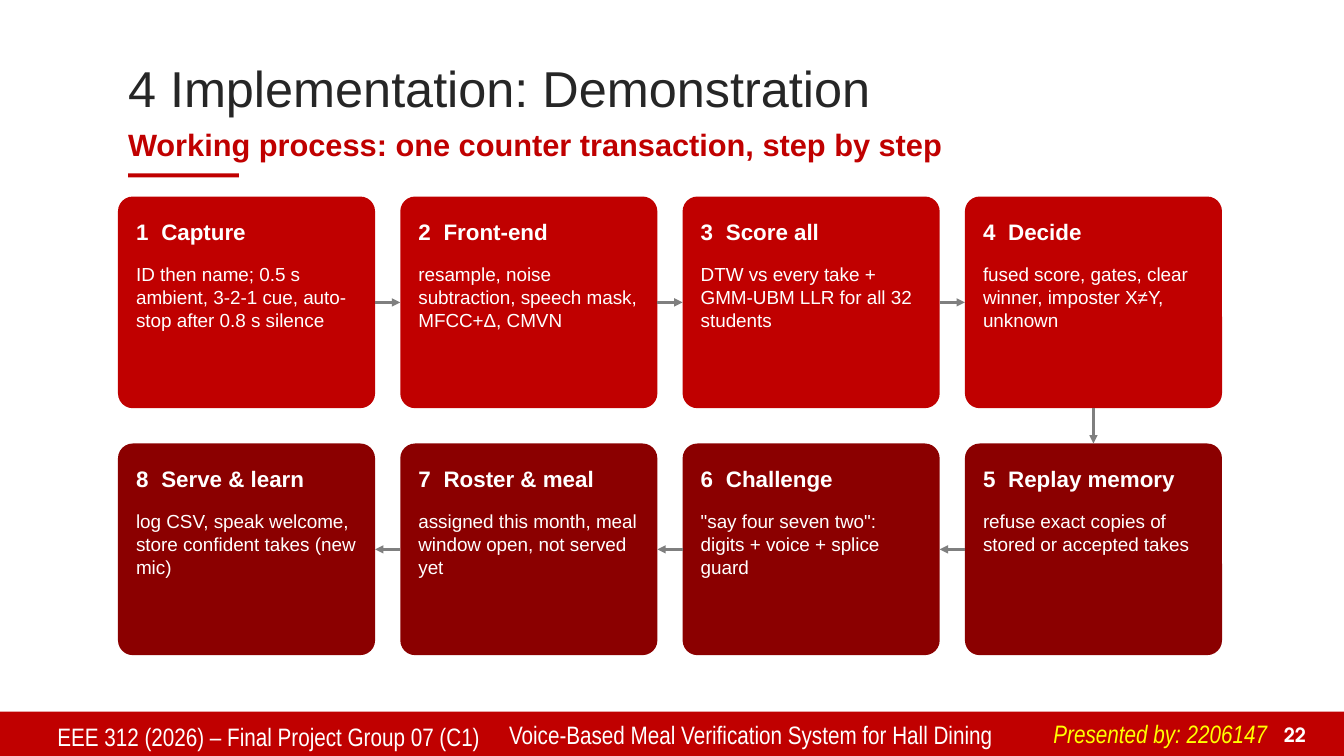
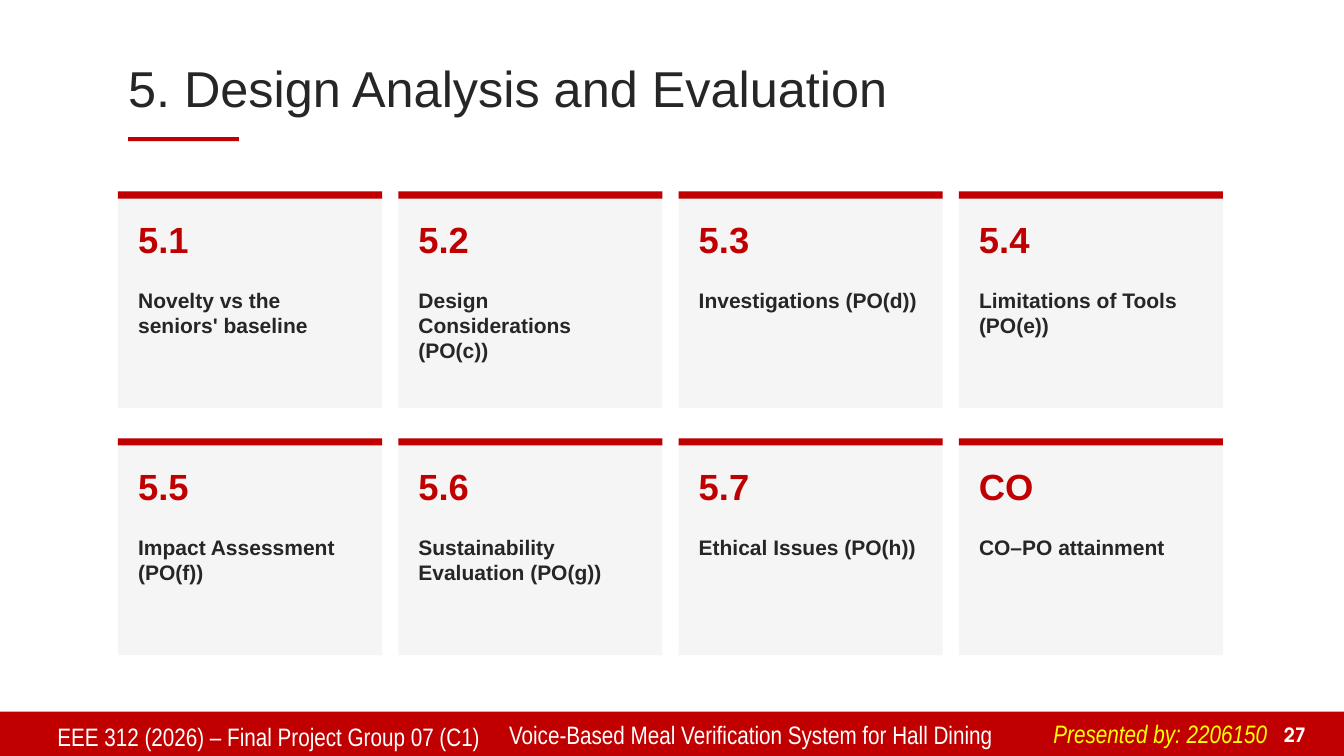
from dataclasses import dataclass
from itertools import pairwise

from lxml.etree import SubElement
from pptx import Presentation
from pptx.dml.color import RGBColor
from pptx.enum.shapes import MSO_CONNECTOR, MSO_SHAPE
from pptx.enum.text import MSO_ANCHOR, PP_ALIGN
from pptx.oxml.ns import qn
from pptx.util import Inches, Pt

RED = RGBColor(0xC0, 0x00, 0x00)
DARK_RED = RGBColor(0x8B, 0x00, 0x00)
INK = RGBColor(0x26, 0x26, 0x26)
PALE = RGBColor(0xF5, 0xF5, 0xF5)
GRAY = RGBColor(0x7F, 0x7F, 0x7F)
WHITE = RGBColor(0xFF, 0xFF, 0xFF)
YELLOW = RGBColor(0xFF, 0xFF, 0x00)

SANS = "Arial"
NARROW = "Arial Narrow"
NUMBER_FONT = "TeX Gyre Adventor"

SLIDE_WIDTH, SLIDE_HEIGHT = 13.33, 7.5
BAND_TOP = 7.06
MARGIN = 1.17
TEXT_LEFT = 1.27
COLUMNS = 4
LABEL_TAB = 0.25
TOP, LEFT, BOTTOM, RIGHT = range(4)

STEPS = [
    ("Capture", "ID then name; 0.5 s ambient, 3-2-1 cue, auto-stop after 0.8 s silence"),
    ("Front-end", "resample, noise subtraction, speech mask, MFCC+Δ, CMVN"),
    ("Score all", "DTW vs every take + GMM-UBM LLR for all 32 students"),
    ("Decide", "fused score, gates, clear winner, imposter X≠Y, unknown"),
    ("Replay memory", "refuse exact copies of stored or accepted takes"),
    ("Challenge", "\"say four seven two\": digits + voice + splice guard"),
    ("Roster & meal", "assigned this month, meal window open, not served yet"),
    ("Serve & learn", "log CSV, speak welcome, store confident takes (new mic)"),
]

SECTIONS = [
    ("5.1", "Novelty vs the seniors' baseline"),
    ("5.2", "Design Considerations (PO(c))"),
    ("5.3", "Investigations (PO(d))"),
    ("5.4", "Limitations of Tools (PO(e))"),
    ("5.5", "Impact Assessment (PO(f))"),
    ("5.6", "Sustainability Evaluation (PO(g))"),
    ("5.7", "Ethical Issues (PO(h))"),
    ("CO", "CO–PO attainment"),
]


@dataclass(frozen=True)
class Grid:
    top: float
    width: float
    height: float
    column_gap: float
    row_gap: float

    def corner(self, row, column):
        return (MARGIN + column * (self.width + self.column_gap),
                self.top + row * (self.height + self.row_gap))


STEP_GRID = Grid(top=1.95, width=2.55, height=2.1, column_gap=0.25, row_gap=0.35)
SECTION_GRID = Grid(top=1.9, width=2.62, height=2.15, column_gap=0.16, row_gap=0.3)


def style(paragraph, size, color, family=SANS, bold=False, italic=False):
    font = paragraph.font
    font.name, font.size = family, Pt(size)
    font.bold, font.italic = bold, italic
    font.color.rgb = color


def add_text(slide, text, left, top, width, height, size, color,
             inset=True, anchor=MSO_ANCHOR.TOP, align=PP_ALIGN.LEFT,
             tab=None, **font):
    frame = slide.shapes.add_textbox(
        Inches(left), Inches(top), Inches(width), Inches(height)).text_frame
    frame.word_wrap = True
    frame.vertical_anchor = anchor
    if not inset:
        frame.margin_left = frame.margin_right = 0
        frame.margin_top = frame.margin_bottom = 0
    paragraph = frame.paragraphs[0]
    paragraph.text = text
    paragraph.alignment = align
    if tab:
        stops = SubElement(paragraph._p.get_or_add_pPr(), qn("a:tabLst"))
        SubElement(stops, qn("a:tab"), pos=str(Inches(tab)), algn="l")
    style(paragraph, size, color, **font)


def add_block(slide, left, top, width, height, color, outline=MSO_SHAPE.RECTANGLE):
    block = slide.shapes.add_shape(
        outline, Inches(left), Inches(top), Inches(width), Inches(height))
    block.shadow.inherit = False
    block.fill.solid()
    block.fill.fore_color.rgb = color
    block.line.fill.background()
    return block


def add_arrow(slide, source, source_site, target, target_site):
    arrow = slide.shapes.add_connector(MSO_CONNECTOR.STRAIGHT, 0, 0, 0, 0)
    arrow.begin_connect(source, source_site)
    arrow.end_connect(target, target_site)
    arrow.line.color.rgb = GRAY
    arrow.line.width = Pt(1.75)
    SubElement(arrow.line._get_or_add_ln(), qn("a:tailEnd"), type="triangle")
    SubElement(arrow._element.spPr, qn("a:effectLst"))


def add_footer(slide, number, presenter):
    add_block(slide, 0, BAND_TOP, SLIDE_WIDTH, SLIDE_HEIGHT - BAND_TOP, RED)
    add_text(slide, "EEE 312 (2026) – Final Project Group 07 (C1)",
             0.47, 7.11, 4.45, 0.39, 18, WHITE, family=NARROW)
    add_text(slide, "Voice-Based Meal Verification System for Hall Dining",
             4.95, 7.09, 5.35, 0.41, 18, WHITE, family=NARROW)
    add_text(slide, str(number), 12.48, 7.11, 0.57, 0.34, 14, WHITE,
             anchor=MSO_ANCHOR.BOTTOM, align=PP_ALIGN.RIGHT,
             family=NUMBER_FONT, bold=True)
    add_text(slide, f"Presented by: {presenter}", 10.35, 7.08, 2.42, 0.4, 18, YELLOW,
             family=NARROW, italic=True)


def start_slide(deck, heading, rule_top, number, presenter):
    slide = deck.slides.add_slide(deck.slide_layouts.get_by_name("Title Only"))
    title = slide.shapes.title
    title.left, title.top = Inches(MARGIN), Inches(0.5)
    title.width, title.height = Inches(11), Inches(0.8)
    title.text_frame.text = heading
    title.text_frame.vertical_anchor = MSO_ANCHOR.MIDDLE
    paragraph = title.text_frame.paragraphs[0]
    paragraph.alignment = PP_ALIGN.LEFT
    paragraph.line_spacing = 0.9
    style(paragraph, 36, INK)
    add_footer(slide, number, presenter)
    add_block(slide, TEXT_LEFT, rule_top, 1.1, 0.04, RED)
    return slide


def add_step(slide, index, label, detail):
    row, column = divmod(index, COLUMNS)
    if row:
        column = COLUMNS - 1 - column
    left, top = STEP_GRID.corner(row, column)
    card = add_block(slide, left, top, STEP_GRID.width, STEP_GRID.height,
                     DARK_RED if row else RED, MSO_SHAPE.ROUNDED_RECTANGLE)
    card.adjustments[0] = 0.07
    add_text(slide, f"{index + 1}\t{label}", left + 0.18, top + 0.14, 2.2, 0.42, 16, WHITE,
             inset=False, anchor=MSO_ANCHOR.MIDDLE, tab=LABEL_TAB, bold=True)
    add_text(slide, detail, left + 0.18, top + 0.66, 2.2, 1.35, 13.5, WHITE, inset=False)
    return card


def add_section(slide, index, code, topic):
    left, top = SECTION_GRID.corner(*divmod(index, COLUMNS))
    add_block(slide, left, top, SECTION_GRID.width, SECTION_GRID.height, PALE)
    add_block(slide, left, top, SECTION_GRID.width, 0.07, RED)
    add_text(slide, code, left + 0.2, top + 0.25, 2.2, 0.6, 26, RED, inset=False, bold=True)
    add_text(slide, topic, left + 0.2, top + 0.95, 2.25, 1, 15, INK, inset=False, bold=True)


def build_demonstration(deck):
    slide = start_slide(deck, "4 Implementation: Demonstration", 1.72, 22, "2206147")
    add_text(slide, "Working process: one counter transaction, step by step",
             TEXT_LEFT, 1.2, 10.9, 0.46, 22, RED,
             inset=False, anchor=MSO_ANCHOR.MIDDLE, bold=True)
    cards = [add_step(slide, index, *step) for index, step in enumerate(STEPS)]
    for source, target in pairwise(cards):
        if source.top != target.top:
            sites = BOTTOM, TOP
        elif source.left < target.left:
            sites = RIGHT, LEFT
        else:
            sites = LEFT, RIGHT
        add_arrow(slide, source, sites[0], target, sites[1])


def build_evaluation(deck):
    slide = start_slide(deck, "5. Design Analysis and Evaluation", 1.36, 27, "2206150")
    for index, section in enumerate(SECTIONS):
        add_section(slide, index, *section)


def main():
    deck = Presentation()
    deck.slide_width, deck.slide_height = Inches(SLIDE_WIDTH), Inches(SLIDE_HEIGHT)
    build_demonstration(deck)
    build_evaluation(deck)
    deck.save("out.pptx")


if __name__ == "__main__":
    main()
